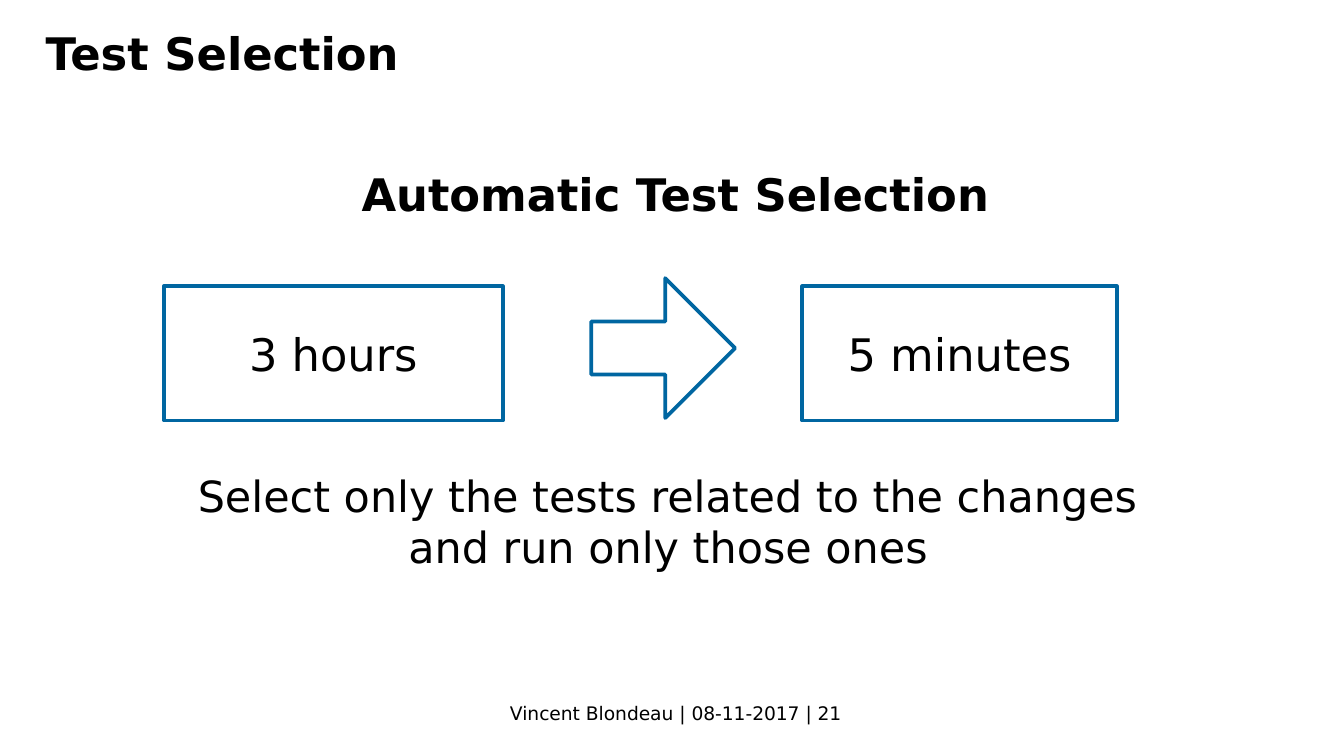
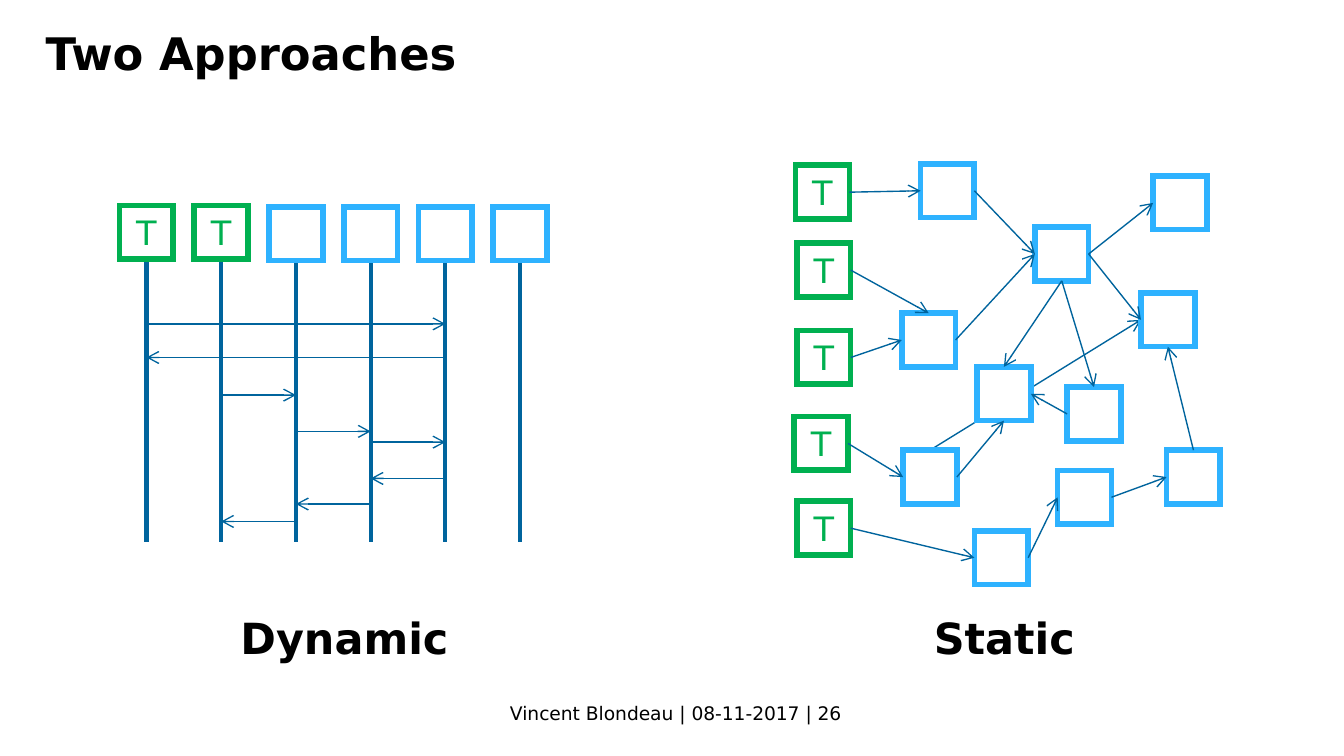
from dataclasses import dataclass

from lxml.etree import SubElement
from pptx import Presentation
from pptx.dml.color import RGBColor as Rgb
from pptx.enum.shapes import MSO_CONNECTOR as Link, MSO_SHAPE as Kind
from pptx.enum.text import MSO_ANCHOR as Anchor, PP_ALIGN as Align
from pptx.oxml.ns import qn
from pptx.util import Inches, Pt


@dataclass(frozen=True)
class Theme:
    face: str = "DejaVu Sans"
    ink: Rgb = Rgb(0, 0, 0)
    paper: Rgb = Rgb(255, 255, 255)
    frame: Rgb = Rgb(0x00, 0x66, 0xA1)
    wire: Rgb = Rgb(0x00, 0x64, 0x9D)
    test: Rgb = Rgb(0x00, 0xB0, 0x50)
    code: Rgb = Rgb(0x2E, 0xB2, 0xFF)
    title: int = 24
    body: int = 23
    mark: int = 18
    foot: int = 10


THEME = Theme()
NODE = 0.4
PORTS = {"T": 0, "L": 1, "B": 2, "R": 3}

LANES = "TT    "
CALLS = [
    (0, 4, 0.88), (4, 0, 1.13), (1, 2, 1.41), (2, 3, 1.68),
    (3, 4, 1.76), (4, 3, 2.03), (3, 2, 2.22), (2, 1, 2.35),
]

NODES = {
    "t1": (0.01, 0.01), "t2": (0.02, 0.59), "t3": (0.02, 1.24),
    "t4": (0, 1.88), "t5": (0.02, 2.51),
    "a": (0.94, 0), "b": (1.79, 0.47), "c": (2.67, 0.09),
    "d": (0.8, 1.11), "e": (2.58, 0.96), "f": (1.36, 1.51),
    "g": (2.03, 1.66), "h": (0.81, 2.13), "i": (2.77, 2.13),
    "j": (1.96, 2.28), "k": (1.34, 2.73),
}
EDGES = [
    "t1 R a L", "a R b L", "t2 R d T", "t3 R d L", "t4 R h L", "t5 R k L",
    "d R b L", "b R c L", "b R e L", "b B g T", "b B f T", "h R f B",
    "g L f R", "k R j L", "j R i L", "i T e B",
]
UNDER = "h T e L"


def style(para, size, color=THEME.ink, bold=False, align=Align.CENTER):
    para.alignment = align
    font = para.font
    font.name, font.size, font.bold = THEME.face, Pt(size), bold
    font.color.rgb = color


def label(slide, box, text, size, **look):
    frame = slide.shapes.add_textbox(*map(Inches, box)).text_frame
    frame.word_wrap = True
    frame.text = text
    style(frame.paragraphs[0], size, **look)
    return frame


def block(slide, kind, box, color, width, text="", size=THEME.title, ink=THEME.ink):
    shape = slide.shapes.add_shape(kind, *map(Inches, box))
    shape.shadow.inherit = False
    shape.fill.solid()
    shape.fill.fore_color.rgb = THEME.paper
    shape.line.color.rgb = color
    shape.line.width = Pt(width)
    if text:
        frame = shape.text_frame
        frame.vertical_anchor = Anchor.MIDDLE
        frame.text = text
        style(frame.paragraphs[0], size, ink)
    return shape


def node(slide, left, top, test):
    color = THEME.test if test else THEME.code
    shape = block(slide, Kind.RECTANGLE, (left, top, NODE, NODE), color, 3,
                  "T" if test else "", THEME.mark, THEME.test)
    SubElement(shape.get_or_add_ln(), qn("a:miter"), lim="800000")
    return shape


def wire(slide, start=(0, 0), end=(0, 0), width=0.75, arrow=True):
    line = slide.shapes.add_connector(Link.STRAIGHT, *map(Inches, start + end))
    line.line.color.rgb = THEME.wire
    line.line.width = Pt(width)
    if arrow:
        SubElement(line.get_or_add_ln(), qn("a:tailEnd"), type="arrow")
    SubElement(line.element.spPr, qn("a:effectLst"))
    return line


def page(deck, title, number):
    slide = deck.slides.add_slide(deck.slide_layouts[5])
    head = slide.shapes.title
    head.left, head.top, head.width, head.height = map(Inches, (0.24, 0.14, 9.57, 0.79))
    head.text_frame.text = title
    head.text_frame.vertical_anchor = Anchor.TOP
    style(head.text_frame.paragraphs[0], THEME.title, bold=True, align=Align.LEFT)
    label(slide, (3.56, 5.17, 2.89, 0.27),
          f" Vincent Blondeau | 08-11-2017 | {number}", THEME.foot)
    return slide


def gain(slide, left, top, width, height):
    frame = label(slide, (left, top, width, height),
                  "Automatic Test Selection", THEME.title, bold=True)
    note = frame.add_paragraph()
    note.text = "Select only the tests related to the changes \vand run only those ones "
    style(note, THEME.body)
    note.space_before = Pt(133.5)
    arrow = block(slide, Kind.RIGHT_ARROW, (left + 4.16, top + 0.88, 1.07, 1.04),
                  THEME.frame, 2)
    arrow.adjustments[0] = 0.38
    for shift, span, text in ((0.98, 2.52, "3 hours"), (5.73, 2.34, "5 minutes")):
        block(slide, Kind.RECTANGLE, (left + shift, top + 0.94, span, 1),
              THEME.frame, 2, text)


def trace(slide, left, top, width, height):
    step = (width - NODE) / (len(LANES) - 1)
    mids = [left + NODE / 2 + step * i for i in range(len(LANES))]
    for mid in mids:
        wire(slide, (mid, top + NODE), (mid, top + height), 2.25, False)
    for mid, mark in zip(mids, LANES):
        test = mark == "T"
        node(slide, mid - NODE / 2, top if test else top + 0.01, test)
    for start, end, drop in CALLS:
        wire(slide, (mids[start], top + drop), (mids[end], top + drop))
    label(slide, (left + 0.8, top + 2.97, 1.85, 0.49), "Dynamic",
          THEME.body, bold=True, align=Align.LEFT)


def graph(slide, left, top):
    nodes = {name: node(slide, left + x, top + y, name.startswith("t"))
             for name, (x, y) in NODES.items()}

    def join(edge):
        start, out, end, into = edge.split()
        line = wire(slide)
        line.begin_connect(nodes[start], PORTS[out])
        line.end_connect(nodes[end], PORTS[into])
        return line

    for edge in EDGES:
        join(edge)
    slide.shapes.element.insert(2, join(UNDER).element)
    label(slide, (left + 0.94, top + 3.28, 1.33, 0.49), "Static",
          THEME.body, bold=True, align=Align.LEFT)


def main():
    deck = Presentation()
    deck.slide_width = Inches(10)
    deck.slide_height = deck.slide_width * 9 // 16
    gain(page(deck, "Test Selection", 21), 0.24, 1.19, 9.57, 3.8)
    pair = page(deck, "Two Approaches", 26)
    trace(pair, 0.89, 1.53, 3.18, 2.5)
    graph(pair, 5.91, 1.22)
    deck.save("out.pptx")


if __name__ == "__main__":
    main()
